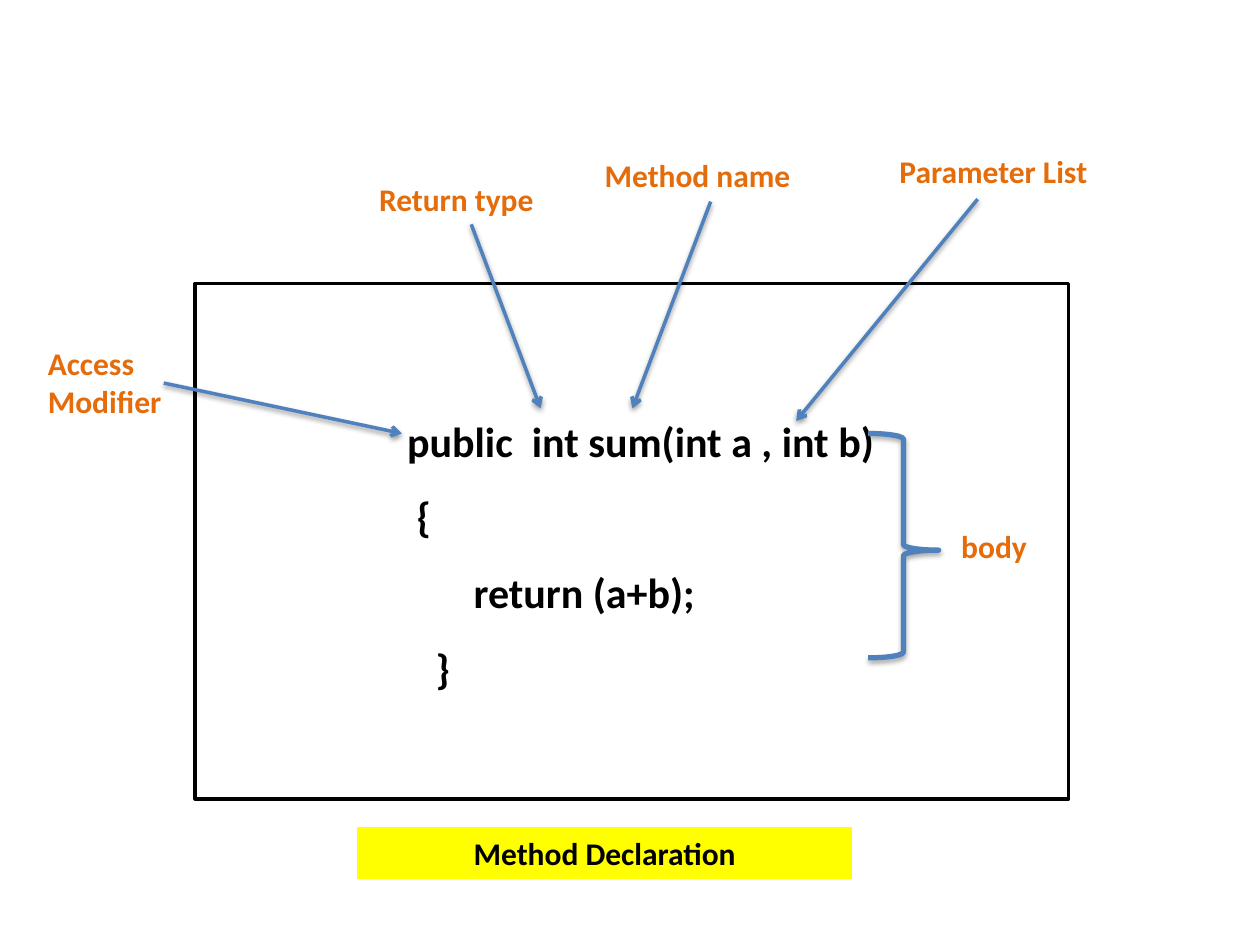
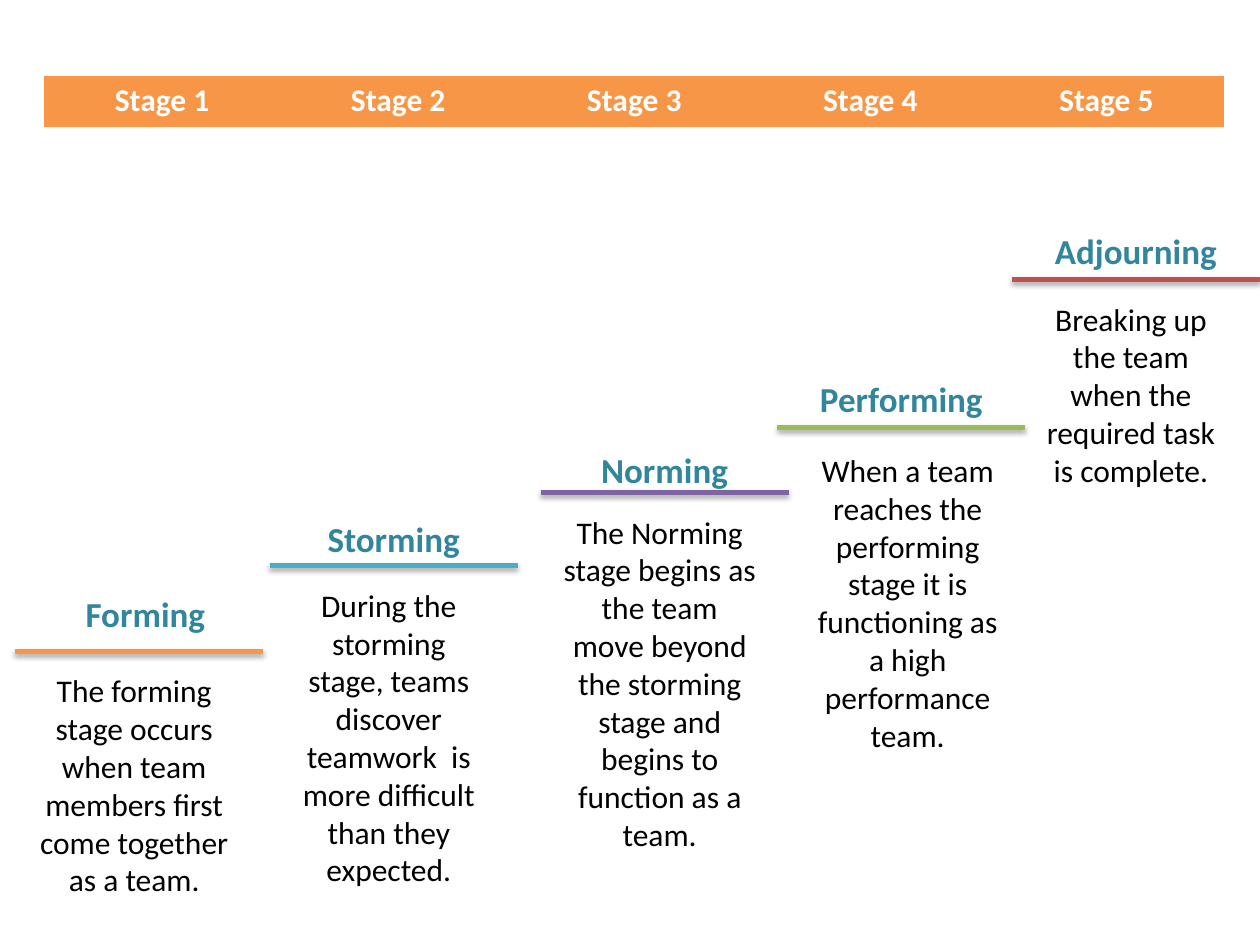
"""Build two slides: the parts of a method declaration and five team stages."""
from dataclasses import dataclass
from typing import Any, Optional

from lxml.etree import SubElement
from pptx import Presentation
from pptx.dml.color import RGBColor
from pptx.enum.shapes import MSO_CONNECTOR, MSO_SHAPE
from pptx.enum.text import MSO_ANCHOR as Anchor, MSO_AUTO_SIZE as AutoSize, PP_ALIGN as Align
from pptx.oxml.ns import qn
from pptx.util import Pt


@dataclass(frozen=True)
class Theme:
    font: str = "Calibri"
    black: str = "000000"
    white: str = "FFFFFF"
    blue: str = "4F81BD"
    orange: str = "F79646"
    label: str = "E46C0A"
    heading: str = "31859C"
    yellow: str = "FFFF00"
    body_size: float = 18
    heading_size: float = 20
    code_size: float = 24
    thin: float = 2
    thick: float = 3
    line_height: float = 21.8
    inset: float = 7.2


@dataclass(frozen=True)
class Callout:
    text: str
    left: float
    top: float
    width: float
    lines: int = 1
    arrow: Optional[tuple[float, float, float, float]] = None


@dataclass(frozen=True)
class Stage:
    name: str
    text: str
    color: str
    left: float
    rule_top: float
    rise: float
    lines: int
    name_shift: float = 0
    text_shift: float = 5.8
    text_drop: float = 7.9


THEME = Theme()
STAGE_WIDTH, STAGE_TEXT_WIDTH = 141.8, 124.6
TABLE_WIDTH = 674.6
NO_STYLE = "{2D5ABB26-0587-4C30-8999-92F81FD0307C}"

CODE = [
    ("public  int sum(int a , int b)", 114),
    ("{", 119.4),
    ("return (a+b);", 152),
    ("}", 130.3),
]
CALLOUTS = [
    Callout("Access Modifier", 20.2, 193, 118.8, 2, (93.6, 218.9, 229.7, 247.7)),
    Callout("Return type", 209.5, 99.4, 118.8, 1, (269.3, 128.2, 308.9, 233.3)),
    Callout("Method name", 338.4, 85.7, 135.4, 1, (406.1, 115.2, 361.4, 233.3)),
    Callout("Parameter List", 506.9, 83.5, 136.8, 1, (558.7, 113.8, 455, 240.5)),
    Callout("body", 542.2, 297.4, 136.8),
]
STAGES = [
    Stage("Forming", "The forming stage occurs when team members first come together as a team.",
          THEME.orange, 8.6, 372.2, 37.4, 7, name_shift=3.6),
    Stage("Storming", "During the storming stage, teams discover teamwork  is more difficult "
          "than they expected.", "4BACC6", 154.1, 323.3, 31, 9),
    Stage("Norming", "The Norming stage begins as the team move beyond the storming stage "
          "and begins to function as a team.", "8064A2", 308.9, 281.5, 28.8, 10),
    Stage("Performing", "When a team reaches the performing stage it is functioning as "
          "a high performance team.", "9BBB59", 444.2, 244.1, 31.7, 9,
          text_shift=12.2, text_drop=10.1),
    Stage("Adjourning", "Breaking up the team when the required task is complete.",
          "C0504D", 578.2, 159.8, 32.4, 5),
]


def rgb(color: str) -> RGBColor:
    """Turn a hex string into a colour."""
    return RGBColor.from_string(color)


def write(p: Any, text: str, *, size: float = THEME.body_size, color: str = THEME.black,
          bold: bool = False, align: Align = Align.LEFT) -> None:
    """Put one formatted run in a paragraph."""
    p.alignment = align
    r = p.add_run()
    r.text = text
    r.font.name, r.font.size, r.font.bold = THEME.font, Pt(size), bold
    r.font.color.rgb = rgb(color)


def add_text(slide: Any, text: str, left: float, top: float, width: float,
             lines: int = 1, **style: Any) -> None:
    """Add a wrapped text box tall enough for its lines."""
    size = style.get("size", THEME.body_size)
    height = lines * THEME.line_height * size / THEME.body_size + THEME.inset
    tf = slide.shapes.add_textbox(Pt(left), Pt(top), Pt(width), Pt(height)).text_frame
    tf.word_wrap = True
    tf.auto_size = AutoSize.SHAPE_TO_FIT_TEXT
    write(tf.paragraphs[0], text, **style)


def add_shadow(sp: Any, distance: float, alpha: int) -> None:
    """Give a shape a soft black shadow straight below it."""
    effects = SubElement(sp.element.spPr, qn("a:effectLst"))
    shadow = SubElement(effects, qn("a:outerShdw"), blurRad=str(Pt(3.1)),
                        dist=str(Pt(distance)), dir="5400000", rotWithShape="0")
    color = SubElement(shadow, qn("a:srgbClr"), val=THEME.black)
    SubElement(color, qn("a:alpha"), val=str(alpha * 1000))


def add_line(slide: Any, x1: float, y1: float, x2: float, y2: float, *, color: str,
             weight: float, arrow: bool = False) -> None:
    """Draw a shadowed line, with an open arrowhead on request."""
    sp = slide.shapes.add_connector(MSO_CONNECTOR.STRAIGHT, Pt(x1), Pt(y1), Pt(x2), Pt(y2))
    sp.line.color.rgb, sp.line.width = rgb(color), Pt(weight)
    if arrow:
        SubElement(sp.line._get_or_add_ln(), qn("a:tailEnd"), type="arrow")
        add_shadow(sp, 1.6, 38)
    else:
        add_shadow(sp, 1.8, 35)


def add_shape(slide: Any, kind: MSO_SHAPE, left: float, top: float, width: float, height: float,
              *, fill: Optional[str], line: str, weight: float) -> Any:
    """Draw a preset shape without a shadow."""
    sp = slide.shapes.add_shape(kind, Pt(left), Pt(top), Pt(width), Pt(height))
    sp.shadow.inherit = False
    if fill:
        sp.fill.solid()
        sp.fill.fore_color.rgb = rgb(fill)
    else:
        sp.fill.background()
    sp.line.color.rgb, sp.line.width = rgb(line), Pt(weight)
    return sp


def add_code_box(slide: Any) -> None:
    """Draw the framed method with its indented lines."""
    sp = add_shape(slide, MSO_SHAPE.RECTANGLE, 111.6, 162, 499, 294.5,
                   fill=THEME.white, line=THEME.black, weight=THEME.thin)
    tf = sp.text_frame
    tf.word_wrap, tf.vertical_anchor = True, Anchor.MIDDLE
    for i, (text, indent) in enumerate(CODE):
        p = tf.add_paragraph() if i else tf.paragraphs[0]
        p.line_spacing = 1.5
        p._p.get_or_add_pPr().set("marL", str(Pt(indent)))
        write(p, text, size=THEME.code_size, bold=True)


def add_brace(slide: Any) -> None:
    """Draw the brace that marks the method body."""
    sp = add_shape(slide, MSO_SHAPE.RIGHT_BRACE, 496.1, 247.7, 40.3, 128.2,
                   fill=None, line=THEME.blue, weight=THEME.thick)
    sp.adjustments[0], sp.adjustments[1] = 0.08, 0.52
    sp.element.spPr.remove(sp.element.spPr.find(qn("a:effectLst")))
    add_shadow(sp, 1.8, 35)


def method_slide(slide: Any) -> None:
    """Show a method declaration with its parts labelled."""
    add_code_box(slide)
    add_brace(slide)
    for c in CALLOUTS:
        if c.arrow:
            add_line(slide, *c.arrow, color=THEME.blue, weight=THEME.thin, arrow=True)
        add_text(slide, c.text, c.left, c.top, c.width, c.lines, color=THEME.label, bold=True)
    caption = add_shape(slide, MSO_SHAPE.RECTANGLE, 204.5, 473, 282.2, 29,
                        fill=THEME.yellow, line=THEME.yellow, weight=0.75)
    caption.text_frame.vertical_anchor = Anchor.TOP
    write(caption.text_frame.paragraphs[0], "Method Declaration", bold=True, align=Align.CENTER)


def add_stage_band(slide: Any) -> None:
    """Add the one-row table that numbers the stages."""
    frame = slide.shapes.add_table(1, len(STAGES), Pt(25.2), Pt(43.2), Pt(TABLE_WIDTH), Pt(29.2))
    for style_id in frame.element.iter(qn("a:tableStyleId")):
        style_id.text = NO_STYLE
    for i, cell in enumerate(frame.table.rows[0].cells, 1):
        cell.fill.solid()
        cell.fill.fore_color.rgb = rgb(THEME.orange)
        write(cell.text_frame.paragraphs[0], f"Stage {i}", color=THEME.white,
              bold=True, align=Align.CENTER)


def stages_slide(slide: Any) -> None:
    """Show the team stages as rising steps."""
    for s in STAGES:
        add_line(slide, s.left, s.rule_top, s.left + STAGE_WIDTH, s.rule_top,
                 color=s.color, weight=THEME.thick)
        add_text(slide, s.name, s.left + s.name_shift, s.rule_top - s.rise, STAGE_WIDTH,
                 size=THEME.heading_size, color=THEME.heading, bold=True, align=Align.CENTER)
        add_text(slide, s.text, s.left + s.text_shift, s.rule_top + s.text_drop,
                 STAGE_TEXT_WIDTH, s.lines, align=Align.CENTER)
    add_stage_band(slide)


def main() -> None:
    """Build and save the presentation."""
    prs = Presentation()
    prs.slide_width, prs.slide_height = Pt(720), Pt(540)
    for build in (method_slide, stages_slide):
        build(prs.slides.add_slide(prs.slide_layouts[6]))
    prs.save("out.pptx")


if __name__ == "__main__":
    main()
